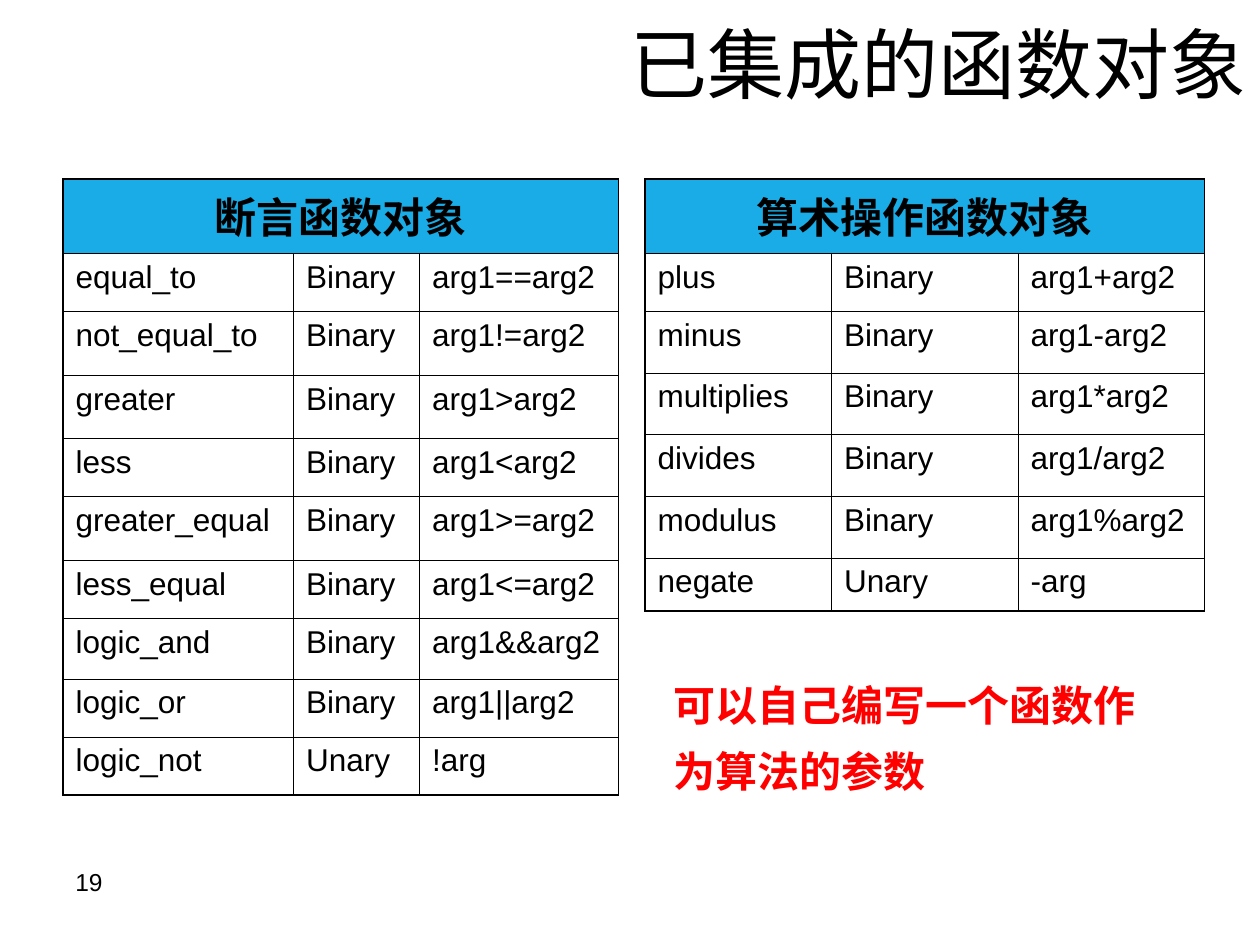
from lxml.etree import SubElement
from pptx import Presentation
from pptx.dml.color import RGBColor
from pptx.enum.text import MSO_ANCHOR as Anchor, MSO_AUTO_SIZE as AutoSize, PP_ALIGN as Align
from pptx.oxml.ns import qn
from pptx.util import Inches, Pt

BLACK = RGBColor(0x00, 0x00, 0x00)
RED = RGBColor(0xFF, 0x00, 0x00)
BLUE = RGBColor(0x19, 0xAC, 0xE7)

# Grid of 100 columns by 75 rows on a 10 by 7.5 inch slide
UNIT = Inches(0.1)
COLUMNS, ROWS = 100, 75
OUTER_LINE, INNER_LINE = Pt(1.08), Pt(0.45)

TITLE_FONT = dict(name="Arial", size=Pt(44))
HEADER_FONT = dict(name="Arial", size=Pt(24), bold=True)
BODY_FONT = dict(name="Arial", size=Pt(18), bold=False)
NUMBER_FONT = dict(name="Arial", size=Pt(14))
NOTE_FONT = dict(name="Courier New", size=Pt(24), bold=True)
HEADER_PARA = dict(alignment=Align.CENTER, space_before=Pt(6))
BODY_PARA = dict(space_before=Pt(4.5))
NOTE_PARA = dict(space_before=Pt(15), line_spacing=0.8)

PREDICATES = [
    ("equal_to", "Binary", "arg1==arg2"),
    ("not_equal_to", "Binary", "arg1!=arg2"),
    ("greater", "Binary", "arg1>arg2"),
    ("less", "Binary", "arg1<arg2"),
    ("greater_equal", "Binary", "arg1>=arg2"),
    ("less_equal", "Binary", "arg1<=arg2"),
    ("logic_and", "Binary", "arg1&&arg2"),
    ("logic_or", "Binary", "arg1||arg2"),
    ("logic_not", "Unary", "!arg"),
]
ARITHMETIC = [
    ("plus", "Binary", "arg1+arg2"),
    ("minus", "Binary", "arg1-arg2"),
    ("multiplies", "Binary", "arg1*arg2"),
    ("divides", "Binary", "arg1/arg2"),
    ("modulus", "Binary", "arg1%arg2"),
    ("negate", "Unary", "-arg"),
]


def grid(*lengths):
    return [round(length * UNIT) for length in lengths]


def set_all(target, values):
    for name, value in values.items():
        setattr(target, name, value)


def write(para, text, font, color=BLACK, para_format=None):
    span = para.add_run()
    span.text = text
    set_all(span.font, font)
    span.font.color.rgb = color
    set_all(para, para_format or {})


def add_title(page, text):
    title = page.shapes.title
    title.left, title.top, title.width, title.height = grid(10, 0, 90, 9.9)
    title.text_frame.vertical_anchor = Anchor.MIDDLE
    write(title.text_frame.paragraphs[0], text, TITLE_FONT,
          para_format=dict(alignment=Align.RIGHT))


def add_text(page, place, lines, font, color=BLACK, para_format=None):
    frame = page.shapes.add_textbox(*grid(*place)).text_frame
    frame.word_wrap = True
    for index, line in enumerate(lines):
        para = frame.add_paragraph() if index else frame.paragraphs[0]
        write(para, line, font, color, para_format)
    return frame


def hang(para, indent):
    props = para._p.get_or_add_pPr()
    props.set("marL", str(indent))
    props.set("indent", str(-indent))


def draw_borders(cell, outer_sides):
    """Line all four sides, with the heavier line on the table's edge."""
    props = cell._tc.get_or_add_tcPr()
    for side in "LRTB":
        width = OUTER_LINE if side in outer_sides else INNER_LINE
        line = SubElement(props, qn(f"a:ln{side}"), w=str(width))
        fill = SubElement(line, qn("a:solidFill"))
        SubElement(fill, qn("a:srgbClr"), val=str(BLACK))


def add_function_table(page, left, top, widths, heights, header, functions):
    place = grid(left, top, sum(widths), sum(heights))
    table = page.shapes.add_table(len(heights), len(widths), *place).table
    table.first_row = table.horz_banding = False
    for column, width in zip(table.columns, grid(*widths)):
        column.width = width
    for row, height in zip(table.rows, grid(*heights)):
        row.height = height

    last_row, last_column = len(heights) - 1, len(widths) - 1
    table.cell(0, 0).merge(table.cell(0, last_column))
    for r, texts in enumerate([(header, "", ""), *functions]):
        for c, text in enumerate(texts):
            cell = table.cell(r, c)
            edges = {"T": r == 0, "B": r == last_row,
                     "L": c == 0 or r == 0, "R": c == last_column or r == 0}
            draw_borders(cell, [side for side, outer in edges.items() if outer])
            if r == 0:
                cell.fill.solid()
                cell.fill.fore_color.rgb = BLUE
            else:
                cell.fill.background()
            if text:
                font, para_format = (BODY_FONT, BODY_PARA) if r else (HEADER_FONT, HEADER_PARA)
                write(cell.text_frame.paragraphs[0], text, font, para_format=para_format)


def main():
    deck = Presentation()
    deck.slide_width, deck.slide_height = grid(COLUMNS, ROWS)
    page = deck.slides.add_slide(deck.slide_layouts[5])

    add_text(page, (5, 68.3, 23.3, 5.2), ["19"], NUMBER_FONT)
    add_title(page, "已集成的函数对象")
    add_function_table(page, 5, 14.2, [18.3, 10, 15.8],
                       [5.9, 4.6, 5.1, 5, 4.6, 5.1, 4.6, 4.8, 4.6, 4.6],
                       "断言函数对象", PREDICATES)
    add_function_table(page, 51.2, 14.2, [14.8] * 3,
                       [5.9, 4.6] + [4.9] * 4 + [4.2],
                       "算术操作函数对象", ARITHMETIC)
    note = add_text(page, (52.5, 54.2, 40, 9.5),
                    ["可以自己编写一个函数作", "为算法的参数"],
                    NOTE_FONT, RED, NOTE_PARA)
    note.auto_size = AutoSize.SHAPE_TO_FIT_TEXT
    for para in note.paragraphs:
        hang(para, Inches(0.38))

    deck.save("out.pptx")


if __name__ == "__main__":
    main()
